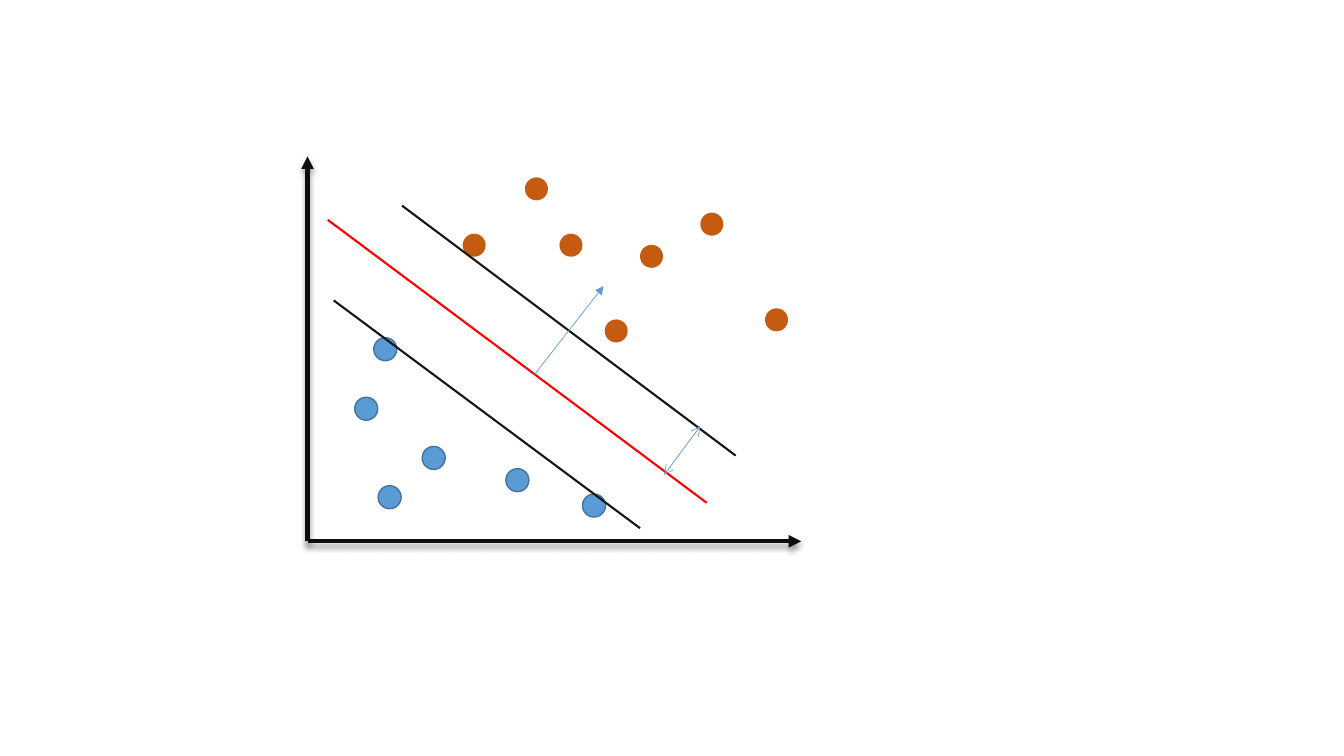
from dataclasses import dataclass

from lxml import etree
from pptx import Presentation
from pptx import util as u
from pptx.dml.color import RGBColor
from pptx.enum import shapes
from pptx.oxml import ns
from pptx.slide import Slide

Point = tuple[float, float]

AXIS_COLOR = "0D0D0D"
MARGIN_COLOR = "181717"
BOUNDARY_COLOR = "FF0000"
ARROW_COLOR = "5B9BD5"
DOT_DIAMETER = 0.58
ORIGIN = (7.75, 13.64)


@dataclass(frozen=True)
class DotClass:
    fill: str
    outline: str | None
    corners: tuple[Point, ...]


@dataclass(frozen=True)
class Line:
    start: Point
    end: Point
    color: str
    width: float
    head: str | None = None
    tail: str | None = None
    shadow: bool = False


AXES = (
    Line(ORIGIN, (7.75, 3.94), AXIS_COLOR, 3, tail="triangle", shadow=True),
    Line(ORIGIN, (20.19, 13.64), AXIS_COLOR, 3, tail="triangle", shadow=True),
)
DOT_CLASSES = (
    DotClass("C55A11", None, (
        (13.23, 4.47), (11.66, 5.89), (14.1, 5.89), (16.13, 6.17),
        (15.24, 8.05), (19.28, 7.77), (17.65, 5.36),
    )),
    DotClass("5B9BD5", "43739E", (
        (9.42, 8.51), (8.94, 10.01), (10.64, 11.25),
        (12.75, 11.81), (14.68, 12.45), (9.53, 12.24),
    )),
)
SEPARATORS = (
    Line((8.41, 7.57), (16.13, 13.31), MARGIN_COLOR, 1.5),
    Line((10.13, 5.18), (18.54, 11.48), MARGIN_COLOR, 1.5),
    Line((8.26, 5.54), (17.81, 12.67), BOUNDARY_COLOR, 1.5),
)
ARROWS = (
    Line((17.65, 10.74), (16.74, 11.96), ARROW_COLOR, 0.5, head="arrow", tail="arrow"),
    Line((13.46, 9.45), (15.21, 7.21), ARROW_COLOR, 0.5, tail="triangle"),
)


def rgb(color: str) -> RGBColor:
    return RGBColor.from_string(color)


def add_child(parent: etree._Element, tag: str, **attributes: str) -> etree._Element:
    return etree.SubElement(parent, ns.qn(tag), attributes)


def draw_line(slide: Slide, line: Line) -> None:
    connector = slide.shapes.add_connector(
        shapes.MSO_CONNECTOR.STRAIGHT, *(u.Cm(length) for length in line.start + line.end)
    )
    connector.line.color.rgb = rgb(line.color)
    connector.line.width = u.Pt(line.width)
    outline = connector.line._get_or_add_ln()
    for tag, arrowhead in (("a:headEnd", line.head), ("a:tailEnd", line.tail)):
        if arrowhead:
            add_child(outline, tag, type=arrowhead)

    effects = add_child(connector._element.spPr, "a:effectLst")
    if line.shadow:
        shadow = add_child(
            effects, "a:outerShdw", blurRad=str(u.Pt(4)), dist=str(u.Pt(3)),
            dir="5400000", rotWithShape="0",
        )
        add_child(add_child(shadow, "a:srgbClr", val="000000"), "a:alpha", val="40000")


def draw_dots(slide: Slide, dot_class: DotClass) -> None:
    diameter = u.Cm(DOT_DIAMETER)
    for left, top in dot_class.corners:
        dot = slide.shapes.add_shape(
            shapes.MSO_SHAPE.OVAL, u.Cm(left), u.Cm(top), diameter, diameter
        )
        dot.shadow.inherit = False
        dot.fill.solid()
        dot.fill.fore_color.rgb = rgb(dot_class.fill)
        if dot_class.outline:
            dot.line.color.rgb = rgb(dot_class.outline)
            dot.line.width = u.Pt(1)
        else:
            dot.line.fill.background()


def main() -> None:
    presentation = Presentation()
    presentation.slide_width = u.Cm(33.87)
    presentation.slide_height = u.Cm(19.05)
    slide = presentation.slides.add_slide(presentation.slide_layouts[6])

    for axis in AXES:
        draw_line(slide, axis)
    for dot_class in DOT_CLASSES:
        draw_dots(slide, dot_class)
    for line in SEPARATORS + ARROWS:
        draw_line(slide, line)

    presentation.save("out.pptx")


if __name__ == "__main__":
    main()
